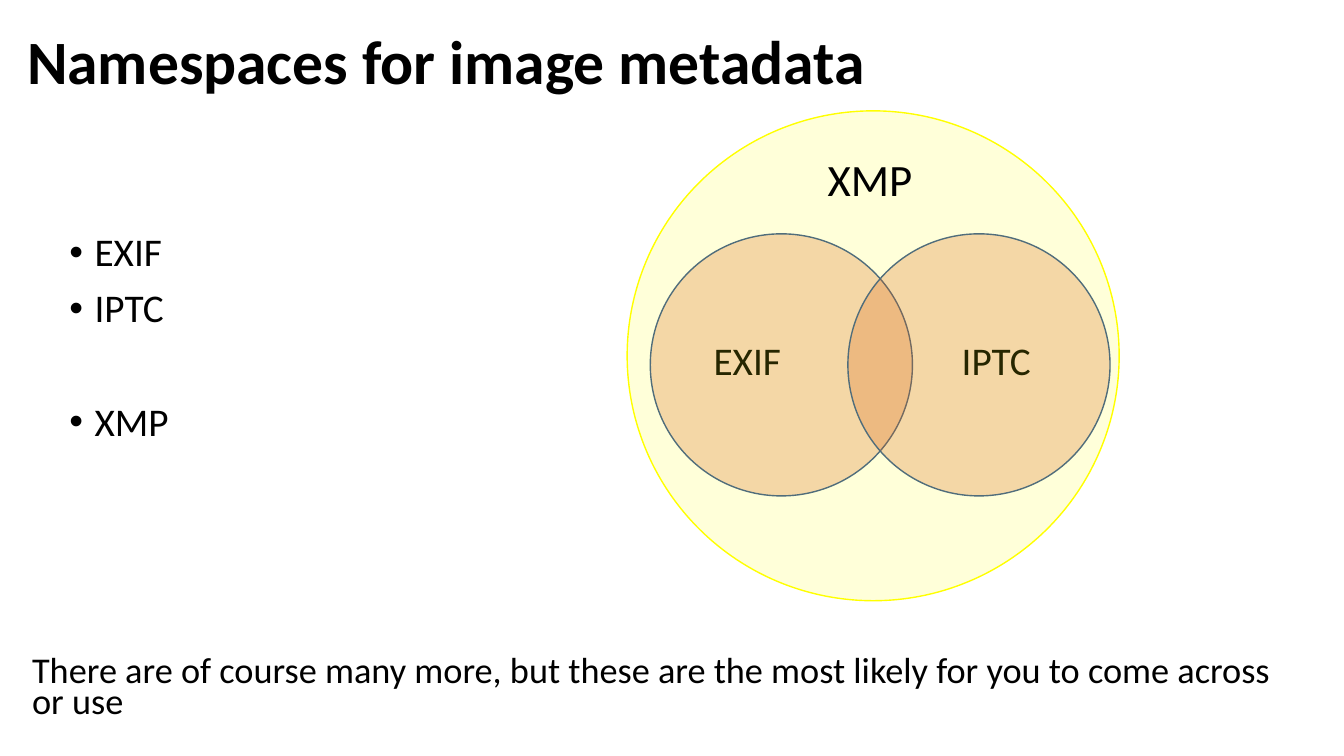
from dataclasses import dataclass

from lxml.etree import SubElement
from pptx import Presentation
from pptx.dml.color import RGBColor
from pptx.enum.shapes import MSO_SHAPE
from pptx.enum.text import MSO_ANCHOR
from pptx.oxml.ns import qn
from pptx.util import Inches, Pt


@dataclass(frozen=True)
class Theme:
    """Colours and type sizes of the slide."""
    font: str = "Calibri"
    text: str = "000000"
    standard: str = "D34817"
    standard_line: str = "325491"
    umbrella: str = "FFFF00"
    title_size: float = 44
    umbrella_size: float = 32
    body_size: float = 28
    note_size: float = 25.9


THEME = Theme()


def apply_format(target, values):
    """Set every attribute named in values on target."""
    for name, value in values.items():
        setattr(target, name, value)


def add_paragraph(frame, text, size, bold=False, **spacing):
    """Write one paragraph, using the frame's empty first one if possible."""
    para = frame.paragraphs[0]
    if para.runs:
        para = frame.add_paragraph()
    apply_format(para, spacing)
    span = para.add_run()
    span.text = text
    apply_format(span.font, {"name": THEME.font, "size": Pt(size), "bold": bold})
    span.font.color.rgb = RGBColor.from_string(THEME.text)
    return para


def add_box(page, left, top, width, height, anchor=MSO_ANCHOR.TOP):
    """Add a wrapping text box and return its text frame."""
    box = page.shapes.add_textbox(*map(Inches, (left, top, width, height)))
    apply_format(box.text_frame, {"word_wrap": True, "vertical_anchor": anchor})
    return box.text_frame


def indent(para, left, first=0):
    """Set the left margin and first-line indent in inches."""
    properties = para._p.get_or_add_pPr()
    properties.set("marL", str(Inches(left)))
    properties.set("indent", str(Inches(first)))
    return properties


def add_bullets(page, items):
    """Add the bullet list from pairs of text and space before."""
    frame = add_box(page, 0.59, 2.26, 12.58, 4.95)
    for text, gap in items:
        para = add_paragraph(frame, text, THEME.body_size,
                             line_spacing=0.9, space_before=Pt(gap))
        properties = indent(para, 0.25, -0.25)
        SubElement(properties, qn("a:buFont")).set("typeface", "Arial")
        SubElement(properties, qn("a:buChar")).set("char", "\u2022")


def add_circle(page, left, top, width, height, color, line, opacity):
    """Add a see-through ellipse; opacity is in percent."""
    circle = page.shapes.add_shape(
        MSO_SHAPE.OVAL, *map(Inches, (left, top, width, height)))
    circle.shadow.inherit = False
    circle.fill.solid()
    circle.fill.fore_color.rgb = RGBColor.from_string(color)
    fill = circle.fill._xPr.find(qn("a:solidFill"))
    SubElement(fill[0], qn("a:alpha")).set("val", str(opacity * 1000))
    circle.line.color.rgb = RGBColor.from_string(line)
    circle.line.width = Pt(1)


def add_venn(page):
    """Draw the two overlapping standards and the circle around them."""
    standards = (("EXIF", 6.45, 6.98), ("IPTC", 8.41, 9.44))
    for _, left, _ in standards:
        add_circle(page, left, 2.32, 2.6, 2.6,
                   THEME.standard, THEME.standard_line, 25)
    for name, _, left in standards:
        add_paragraph(add_box(page, left, 3.29, 1.03, 0.57), name, THEME.body_size)
    add_circle(page, 6.22, 1.1, 4.88, 4.86, THEME.umbrella, THEME.umbrella, 15)
    add_paragraph(add_box(page, 8.11, 1.46, 1.43, 0.64), "XMP", THEME.umbrella_size)


def main():
    """Build the slide and save the deck."""
    deck = Presentation()
    apply_format(deck, {"slide_width": Inches(13.33), "slide_height": Inches(7.5)})
    page = deck.slides.add_slide(deck.slide_layouts[6])

    title = add_box(page, 0.17, -0.1, 12.35, 1.48, MSO_ANCHOR.MIDDLE)
    add_paragraph(title, "Namespaces for image metadata", THEME.title_size,
                  bold=True, line_spacing=0.9)
    add_bullets(page, (("EXIF", 10), ("IPTC", 10), ("XMP", 50.8)))
    note = add_paragraph(
        add_box(page, 0.17, 6.49, 12.77, 0.71),
        "There are of course many more, but these are the most likely "
        "for you to come across or use",
        THEME.note_size, line_spacing=0.7, space_before=Pt(14))
    indent(note, 0.05)
    add_venn(page)
    deck.save("out.pptx")


main()
